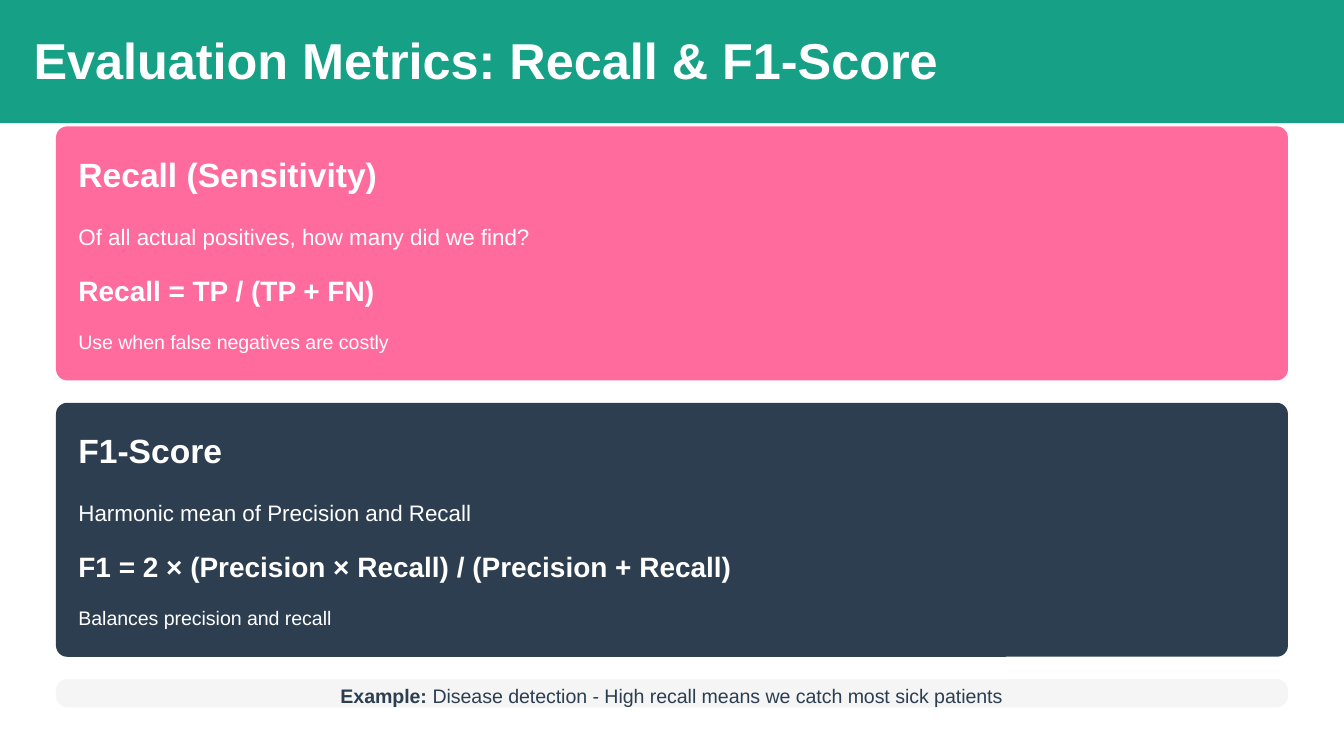
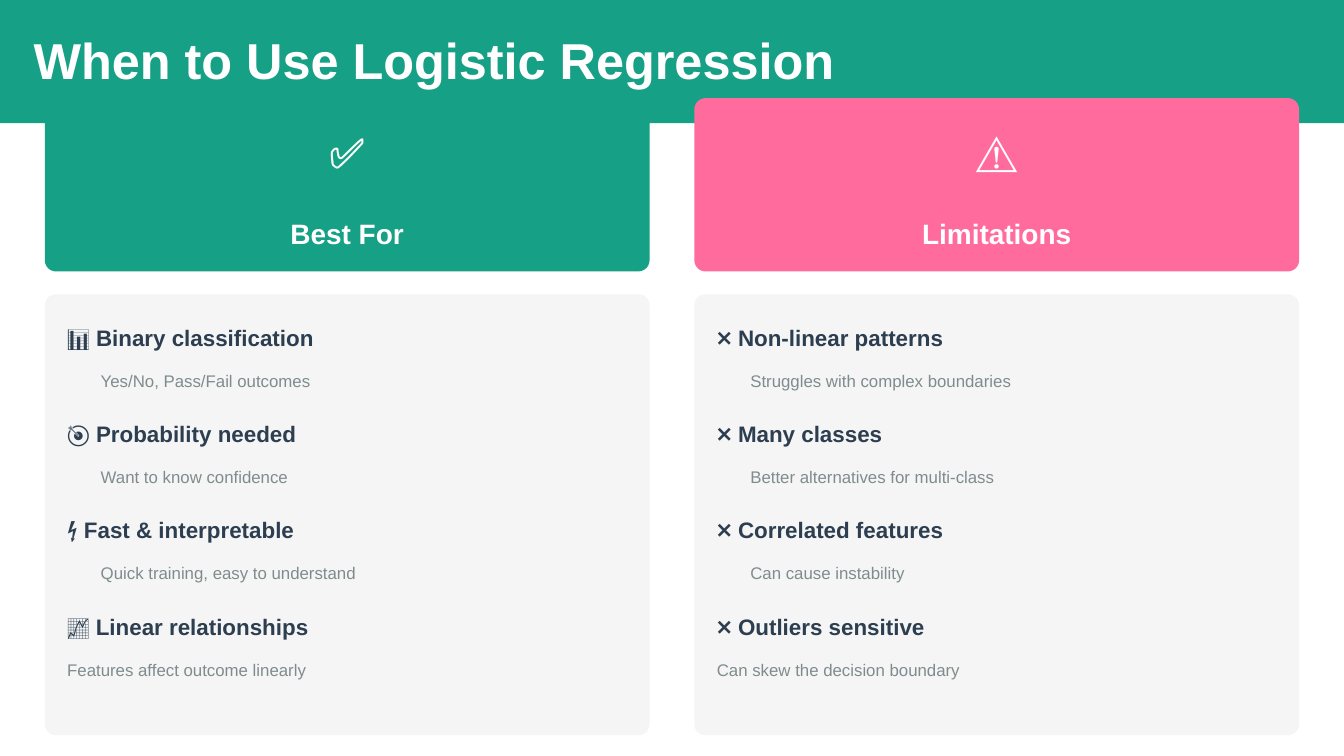
import pptx
import pptx.util
import pptx.dml.color
import pptx.enum.shapes
import pptx.enum.text

Inches, Pt = pptx.util.Inches, pptx.util.Pt
RGB = pptx.dml.color.RGBColor
Shape = pptx.enum.shapes.MSO_SHAPE
Align = pptx.enum.text.PP_ALIGN

WIDE = 10
HIGH = WIDE * 9 / 16
FONT = "Arial"
WHITE = RGB(0xFF, 0xFF, 0xFF)
GREEN = RGB(0x16, 0xA0, 0x85)
PINK = RGB(0xFF, 0x6B, 0x9D)
NAVY = RGB(0x2C, 0x3E, 0x50)
PALE = RGB(0xF5, 0xF5, 0xF5)
GREY = RGB(0x7F, 0x8C, 0x8D)

# Content
METRICS = [
    (PINK, ["Recall (Sensitivity)",
            "Of all actual positives, how many did we find?",
            "Recall = TP / (TP + FN)",
            "Use when false negatives are costly"]),
    (NAVY, ["F1-Score",
            "Harmonic mean of Precision and Recall",
            "F1 = 2 × (Precision × Recall) / (Precision + Recall)",
            "Balances precision and recall"]),
]
EXAMPLE = [("Example:", True),
           (" Disease detection - High recall means we catch most sick patients", False)]

COLUMNS = [
    (GREEN, "✅", "Best For", 0.86, [
        ("📊 ", "Binary classification", "Yes/No, Pass/Fail outcomes"),
        ("🎯 ", "Probability needed", "Want to know confidence"),
        ("⚡ ", "Fast & interpretable", "Quick training, easy to understand"),
        ("📈 ", "Linear relationships", "Features affect outcome linearly")]),
    (PINK, "⚠️", "Limitations", 1.13, [
        ("❌ ", "Non-linear patterns", "Struggles with complex boundaries"),
        ("❌ ", "Many classes", "Better alternatives for multi-class"),
        ("❌ ", "Correlated features", "Can cause instability"),
        ("❌ ", "Outliers sensitive", "Can skew the decision boundary")]),
]

# Lines of a metric card: offset, height, size, bold, leading, before, after
LINES = [
    (0.17, 0.33, 18, True, 24, 0, 0),
    (0.67, 0.25, 12, False, 18, 6, 3.6),
    (1.05, 0.29, 15, True, 21, 0, 0),
    (1.48, 0.21, 10.5, False, 15, 3.6, 3),
]
UNIT = 1 / 12
BAND, GAP = 11 * UNIT, 2 * UNIT
EDGE, TOP, CARD = 5 * UNIT, 0.94, 1.89
SIDE, COL, STEP = 4 * UNIT, 4.5, 58 * UNIT
ROW = 2.15 / 3


def place(part, x, y, w, h):
    part.left, part.top = Inches(x), Inches(y)
    part.width, part.height = Inches(w), Inches(h)


def box(slide, x, y, w, h, fill, round=None):
    kind = Shape.RECTANGLE if round is None else Shape.ROUNDED_RECTANGLE
    part = slide.shapes.add_shape(kind, Inches(x), Inches(y), Inches(w), Inches(h))
    part.shadow.inherit = False
    part.fill.solid()
    part.fill.fore_color.rgb = fill
    part.line.fill.background()
    if round is not None:
        part.adjustments[0] = round


def write(part, runs, size, color, lead, align=Align.LEFT, before=0, after=0):
    """Fill a shape with one paragraph of (words, bold) runs."""
    frame = part.text_frame
    frame.word_wrap = True
    frame.auto_size = pptx.enum.text.MSO_AUTO_SIZE.NONE
    frame.vertical_anchor = pptx.enum.text.MSO_ANCHOR.TOP
    frame.margin_left = frame.margin_right = 0
    frame.margin_top = frame.margin_bottom = 0
    para = frame.paragraphs[0]
    para.alignment = align
    para.line_spacing = Pt(lead)
    para.space_before, para.space_after = Pt(before), Pt(after)
    for words, bold in runs:
        run = para.add_run()
        run.text = words
        font = run.font
        font.name, font.size, font.bold = FONT, Pt(size), bold
        font.color.rgb = color


def text(slide, x, y, w, h, *args, **more):
    part = slide.shapes.add_textbox(Inches(x), Inches(y), Inches(w), Inches(h))
    write(part, *args, **more)


def start(deck, name, wide):
    """Add a slide with the green band and its title."""
    slide = deck.slides.add_slide(deck.slide_layouts[5])
    box(slide, 0, 0, WIDE, BAND, GREEN)
    title = slide.shapes.title
    slide.shapes._spTree.append(title._element)  # lift the title above the band
    place(title, 0.25, 0.25, wide, 0.42)
    write(title, [(name, True)], 27, WHITE, 30)
    return slide


def metrics(deck):
    slide = start(deck, "Evaluation Metrics: Recall & F1-Score", 6.87)
    wide = WIDE - 2 * EDGE
    y = TOP
    for fill, words in METRICS:
        box(slide, EDGE, y, wide, CARD, fill, 0.044)
        for line, (down, h, size, bold, lead, before, after) in zip(words, LINES):
            text(slide, EDGE + GAP, y + down, 9.01, h, [(line, bold)], size,
                 WHITE, lead, before=before, after=after)
        y += CARD + GAP
    box(slide, EDGE, y, wide, 0.21, PALE, 0.4)
    text(slide, 2.47, y, 5.06, 0.21, EXAMPLE, 10.5, NAVY, 15, Align.CENTER)


def usage(deck):
    slide = start(deck, "When to Use Logistic Regression", 6.09)
    for col, (fill, icon, head, wide, items) in enumerate(COLUMNS):
        x = SIDE + col * STEP
        mid = x + COL / 2
        box(slide, x, 0.73, COL, 1.29, fill, 0.065)
        text(slide, mid - 0.2, 0.94, 0.4, 0.38, [(icon, False)], 22.5, WHITE, 27,
             Align.CENTER, before=3, after=6)
        text(slide, mid - wide / 2, 1.57, wide, 0.29, [(head, True)], 15, WHITE,
             21, Align.CENTER)
        box(slide, x, 2.19, COL, 3.28, PALE, 0.025)
        for row, (mark, name, note) in enumerate(items):
            y = 2.36 + row * ROW
            last = row == len(items) - 1
            dent = 0 if last else 0.25
            text(slide, x + GAP, y, 4.25, 0.25, [(mark, False), (name, True)],
                 12, NAVY, 18, after=3.6)
            text(slide, x + GAP + dent, y + 0.38, 4.25 - dent, 0.17,
                 [(note, False)], 9, GREY, 12, after=18 if last else 6)


def main():
    deck = pptx.Presentation()
    deck.slide_width, deck.slide_height = Inches(WIDE), Inches(HIGH)
    metrics(deck)
    usage(deck)
    deck.save("out.pptx")


if __name__ == "__main__":
    main()
